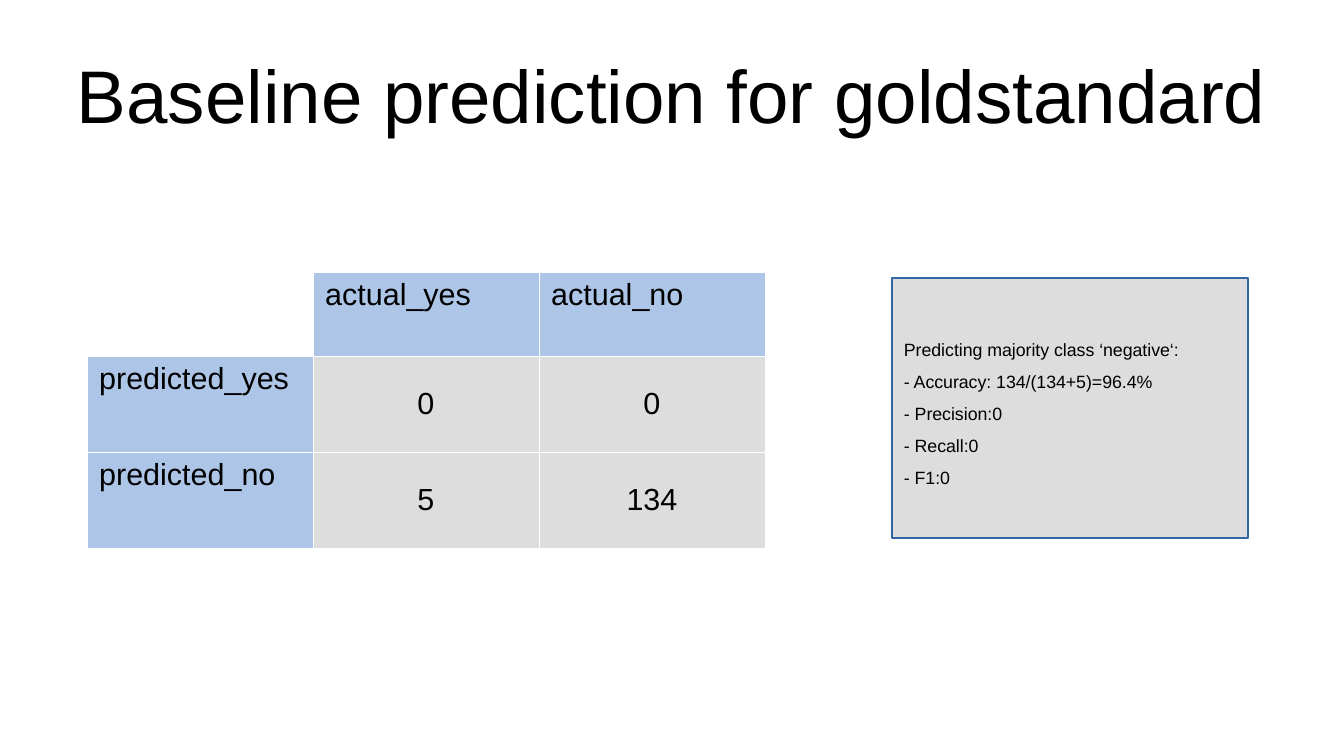
from dataclasses import dataclass

from lxml import etree
from pptx import Presentation
from pptx.dml.color import RGBColor
from pptx.enum.shapes import MSO_SHAPE
from pptx.enum.text import MSO_ANCHOR, PP_ALIGN
from pptx.oxml.ns import qn
from pptx.util import Emu, Pt

RECTANGLE = MSO_SHAPE.RECTANGLE
TOP, MIDDLE = MSO_ANCHOR.TOP, MSO_ANCHOR.MIDDLE
LEFT, CENTER = PP_ALIGN.LEFT, PP_ALIGN.CENTER

TITLE = "Baseline prediction for goldstandard"
CONFUSION_MATRIX = [
    ["", "actual_yes", "actual_no"],
    ["predicted_yes", "0", "0"],
    ["predicted_no", "5", "134"],
]
METRICS = [
    "Predicting majority class ‘negative‘:",
    "- Accuracy: 134/(134+5)=96.4%",
    "- Precision:0",
    "- Recall:0",
    "- F1:0",
]

SLIDE_SIZE = (1344, 756)
TITLE_BOX = (67, 30, 1210, 127)
TABLE_ORIGIN = (87, 272)
COLUMN_WIDTH = 226
ROW_HEIGHTS = (84, 96, 96)
METRICS_BOX = (892, 278, 356, 260)


@dataclass(frozen=True)
class Theme:
    font: str = "Arial"
    text: str = "000000"
    paper: str = "FFFFFF"
    header: str = "ADC5E7"
    panel: str = "DDDDDD"
    outline: str = "3465A4"
    title_size: float = 44
    table_size: float = 18
    metrics_size: float = 10.5
    metrics_spacing: float = 1.5
    border_width: float = 0.06


THEME = Theme()


def px(length):
    return Emu(length * 7495)


def box(lengths):
    return [px(length) for length in lengths]


def paint(fill, color):
    fill.solid()
    fill.fore_color.rgb = RGBColor.from_string(color)


def write(frame, lines, size, alignment=LEFT, spacing=1.0):
    frame.word_wrap = True
    for index, line in enumerate(lines):
        paragraph = frame.add_paragraph() if index else frame.paragraphs[0]
        paragraph.alignment = alignment
        paragraph.line_spacing = spacing
        paragraph.font.size = Pt(size)
        if line:
            run = paragraph.add_run()
            run.text = line
            run.font.name = THEME.font
            run.font.size = Pt(size)
            run.font.color.rgb = RGBColor.from_string(THEME.text)


def add_borders(cell):
    properties = cell._tc.get_or_add_tcPr()
    for index, side in enumerate(("a:lnL", "a:lnR", "a:lnT", "a:lnB")):
        line = etree.Element(qn(side), w=str(Pt(THEME.border_width)))
        fill = etree.SubElement(line, qn("a:solidFill"))
        etree.SubElement(fill, qn("a:srgbClr"), val=THEME.paper)
        properties.insert(index, line)


def add_title(slide):
    frame = slide.shapes.add_textbox(*box(TITLE_BOX)).text_frame
    frame.margin_left = frame.margin_right = 0
    frame.margin_top = frame.margin_bottom = 0
    frame.vertical_anchor = MIDDLE
    write(frame, [TITLE], THEME.title_size, CENTER)


def add_matrix(slide):
    rows, columns = len(CONFUSION_MATRIX), len(CONFUSION_MATRIX[0])
    size = (COLUMN_WIDTH * columns, sum(ROW_HEIGHTS))
    table = slide.shapes.add_table(rows, columns, *box(TABLE_ORIGIN + size)).table
    table.first_row = table.horz_banding = False
    for row, height in zip(table.rows, ROW_HEIGHTS):
        row.height = px(height)
    for column in table.columns:
        column.width = px(COLUMN_WIDTH)
    for row_index, values in enumerate(CONFUSION_MATRIX):
        for column_index, value in enumerate(values):
            cell = table.cell(row_index, column_index)
            is_count = row_index > 0 and column_index > 0
            header_color = THEME.header if value else THEME.paper
            paint(cell.fill, THEME.panel if is_count else header_color)
            cell.vertical_anchor = MIDDLE if is_count else TOP
            alignment = CENTER if is_count else LEFT
            write(cell.text_frame, [value], THEME.table_size, alignment)
            add_borders(cell)


def add_metrics(slide):
    shape = slide.shapes.add_shape(RECTANGLE, *box(METRICS_BOX))
    shape.shadow.inherit = False
    paint(shape.fill, THEME.panel)
    paint(shape.line.fill, THEME.outline)
    shape.line.width = Pt(0)
    frame = shape.text_frame
    frame.vertical_anchor = MIDDLE
    write(frame, METRICS, THEME.metrics_size, spacing=THEME.metrics_spacing)


def main():
    presentation = Presentation()
    presentation.slide_width, presentation.slide_height = box(SLIDE_SIZE)
    slide = presentation.slides.add_slide(presentation.slide_layouts[6])
    add_title(slide)
    add_metrics(slide)
    add_matrix(slide)
    presentation.save("out.pptx")


if __name__ == "__main__":
    main()
